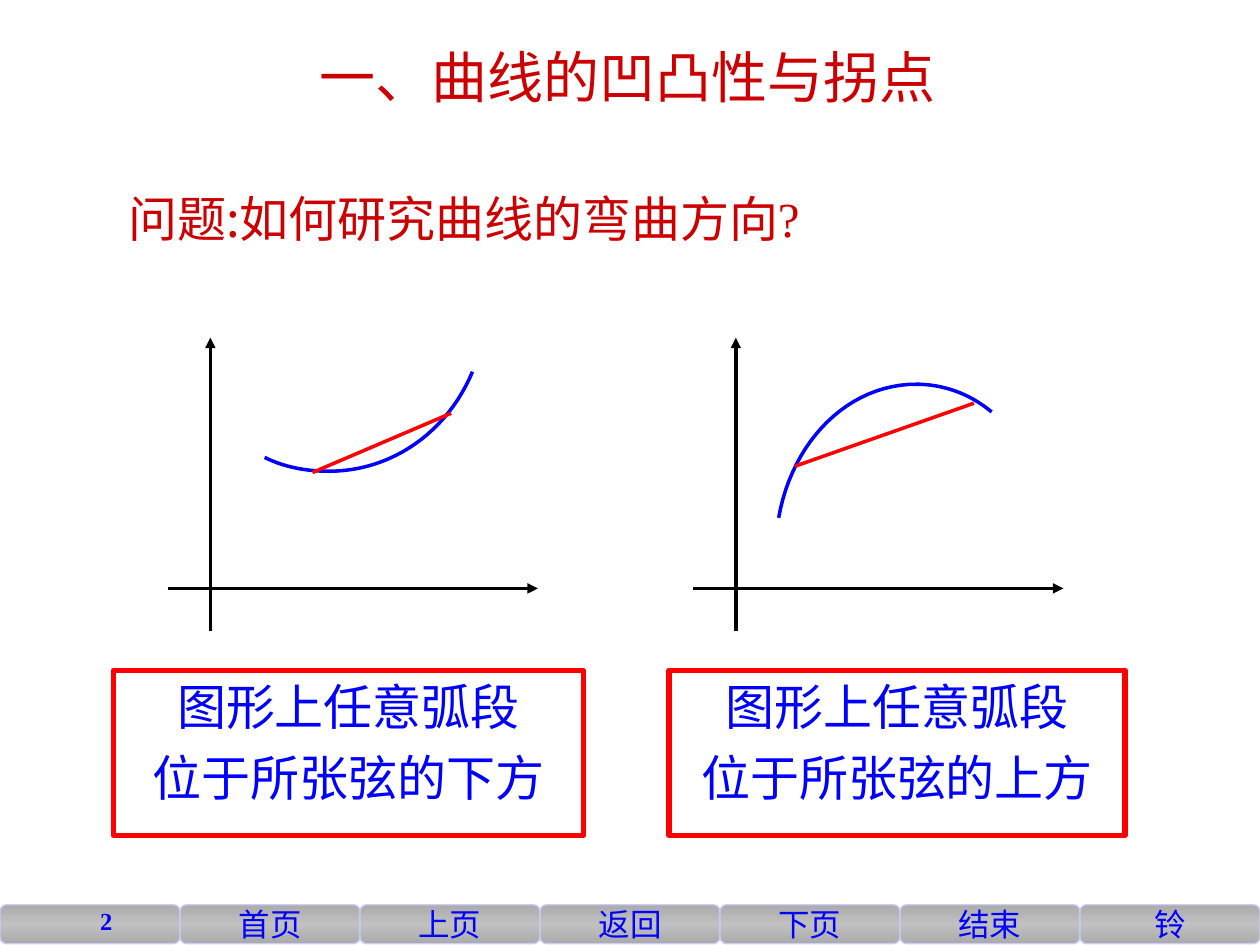
from lxml import etree
from pptx import Presentation
from pptx.dml.color import RGBColor
from pptx.enum import shapes, text
from pptx.oxml.ns import qn
from pptx.util import Inches, Pt

BLUE = RGBColor(0x00, 0x00, 0xFF)
RED = RGBColor(0xFF, 0x00, 0x00)
DARK_RED = RGBColor(0xCC, 0x00, 0x00)
BLACK = RGBColor(0x00, 0x00, 0x00)
WHITE = RGBColor(0xFF, 0xFF, 0xFF)
GRAY = RGBColor(0xAB, 0xAB, 0xAB)
SILVER = RGBColor(0xC0, 0xC0, 0xC0)
LAVENDER = RGBColor(0xCC, 0xCC, 0xFF)
SERIF = "Times New Roman"
SANS = "Noto Sans CJK SC"

TITLE = "一、曲线的凹凸性与拐点"
QUESTION = ("问题:如何研究曲线的弯曲方向", "?")
BUTTONS = ["", "首页", "上页", "返回", "下页", "结束", "铃"]
PAGE_NUMBER = "2"
GRAPHS = [
    {
        "axes_left": 1.33,
        "curve": [
            [(2.1, 3.63), (2.26, 3.71), (2.44, 3.74), (2.61, 3.74)],
            [(2.61, 3.74), (3.11, 3.74), (3.55, 3.43), (3.75, 2.95)],
        ],
        "chord": [(2.48, 3.75), (3.58, 3.28)],
        "caption_at": (0.9, 5.32, 3.73, 1.31),
        "caption": ["图形上任意弧段", "位于所张弦的下方"],
    },
    {
        "axes_left": 5.5,
        "curve": [
            [(6.18, 4.11), (6.29, 3.49), (6.74, 3.05), (7.27, 3.05)],
            [(7.27, 3.05), (7.48, 3.05), (7.69, 3.12), (7.87, 3.27)],
        ],
        "chord": [(6.31, 3.7), (7.73, 3.2)],
        "caption_at": (5.31, 5.32, 3.62, 1.31),
        "caption": ["图形上任意弧段", "位于所张弦的上方"],
    },
]
CURVE_STEPS = 24


def style_para(para, size, color, align, font=SERIF, bold=False):
    para.alignment = align
    para.font.size = Pt(size)
    para.font.name = font
    para.font.bold = bold
    para.font.color.rgb = color


def add_text(page, at, spans, size, color, align, anchor=text.MSO_ANCHOR.TOP, **style):
    box = page.shapes.add_textbox(*map(Inches, at))
    box.text_frame.word_wrap = True
    box.text_frame.vertical_anchor = anchor
    para = box.text_frame.paragraphs[0]
    for words in spans:
        para.add_run().text = words
    style_para(para, size, color, align, **style)
    return para


def add_line(page, start, end, color, arrow=False):
    line = page.shapes.add_connector(
        shapes.MSO_CONNECTOR.STRAIGHT, *map(Inches, (*start, *end)))
    line.line.color.rgb = color
    line.line.width = Pt(2)
    if arrow:
        outline = line.line._get_or_add_ln()
        etree.SubElement(outline, qn("a:tailEnd"), type="triangle")
    etree.SubElement(line._element.spPr, qn("a:effectLst"))


def bezier_point(controls, t):
    weights = ((1 - t) ** 3, 3 * t * (1 - t) ** 2, 3 * t ** 2 * (1 - t), t ** 3)
    return tuple(Inches(sum(w * c[axis] for w, c in zip(weights, controls)))
                 for axis in (0, 1))


def add_curve(page, segments):
    points = [bezier_point(controls, step / CURVE_STEPS)
              for controls in segments for step in range(1, CURVE_STEPS + 1)]
    builder = page.shapes.build_freeform(*bezier_point(segments[0], 0))
    builder.add_line_segments(points, close=False)
    curve = builder.convert_to_shape()
    curve.shadow.inherit = False
    curve.fill.background()
    curve.line.color.rgb = BLUE
    curve.line.width = Pt(2)


def add_caption(page, at, lines):
    box = page.shapes.add_shape(shapes.MSO_SHAPE.RECTANGLE, *map(Inches, at))
    box.shadow.inherit = False
    box.fill.solid()
    box.fill.fore_color.rgb = WHITE
    box.line.color.rgb = RED
    box.line.width = Pt(3)
    frame = box.text_frame
    frame.word_wrap = True
    frame.vertical_anchor = text.MSO_ANCHOR.TOP
    frame.text = "\n".join(lines)
    for index, para in enumerate(frame.paragraphs):
        style_para(para, 28, BLUE, text.PP_ALIGN.CENTER)
        if index:
            para.space_before = Pt(7)


def add_button(page, left, width, label):
    button = page.shapes.add_shape(
        shapes.MSO_SHAPE.ROUNDED_RECTANGLE, *map(Inches, (left, 7.18, width, 0.31)))
    button.shadow.inherit = False
    button.fill.gradient()
    button.fill.gradient_angle = 90
    first, last = button.fill.gradient_stops
    first.color.rgb, first.position = GRAY, 0
    last.color.rgb, last.position = GRAY, 1
    stops = button._element.spPr.find(qn("a:gradFill")).find(qn("a:gsLst"))
    middle = etree.Element(qn("a:gs"), pos="50000")
    etree.SubElement(middle, qn("a:srgbClr"), val=str(SILVER))
    stops.insert(1, middle)
    button.line.color.rgb = LAVENDER
    button.line.width = Pt(0.75)
    if label:
        frame = button.text_frame
        frame.margin_left = frame.margin_right = 0
        frame.margin_top = frame.margin_bottom = 0
        frame.vertical_anchor = text.MSO_ANCHOR.MIDDLE
        frame.text = label
        style_para(frame.paragraphs[0], 18, BLUE, text.PP_ALIGN.CENTER)


def main():
    deck = Presentation()
    deck.slide_width, deck.slide_height = Inches(10), Inches(7.5)
    page = deck.slides.add_slide(deck.slide_layouts[6])

    width = 10 / len(BUTTONS)
    for index, label in enumerate(BUTTONS):
        add_button(page, index * width, width, label)
    add_text(page, (0.12, 7.14, 0.87, 0.24), [PAGE_NUMBER], 14, BLUE,
             text.PP_ALIGN.RIGHT, bold=True)

    question = add_text(page, (0.92, 1.45, 6, 0.57), QUESTION, 28, DARK_RED,
                        text.PP_ALIGN.LEFT, font=SANS)
    question.runs[-1].font.name = SERIF

    for graph in GRAPHS:
        left = graph["axes_left"]
        add_line(page, (left, 4.67), (left + 2.94, 4.67), BLACK, arrow=True)
        add_line(page, (left + 0.34, 5.01), (left + 0.34, 2.68), BLACK, arrow=True)
        add_curve(page, graph["curve"])
        add_line(page, *graph["chord"], RED)
        add_caption(page, graph["caption_at"], graph["caption"])

    add_text(page, (0.23, 0.25, 9.5, 0.67), [TITLE], 32, DARK_RED,
             text.PP_ALIGN.CENTER, anchor=text.MSO_ANCHOR.BOTTOM)
    deck.save("out.pptx")


if __name__ == "__main__":
    main()
